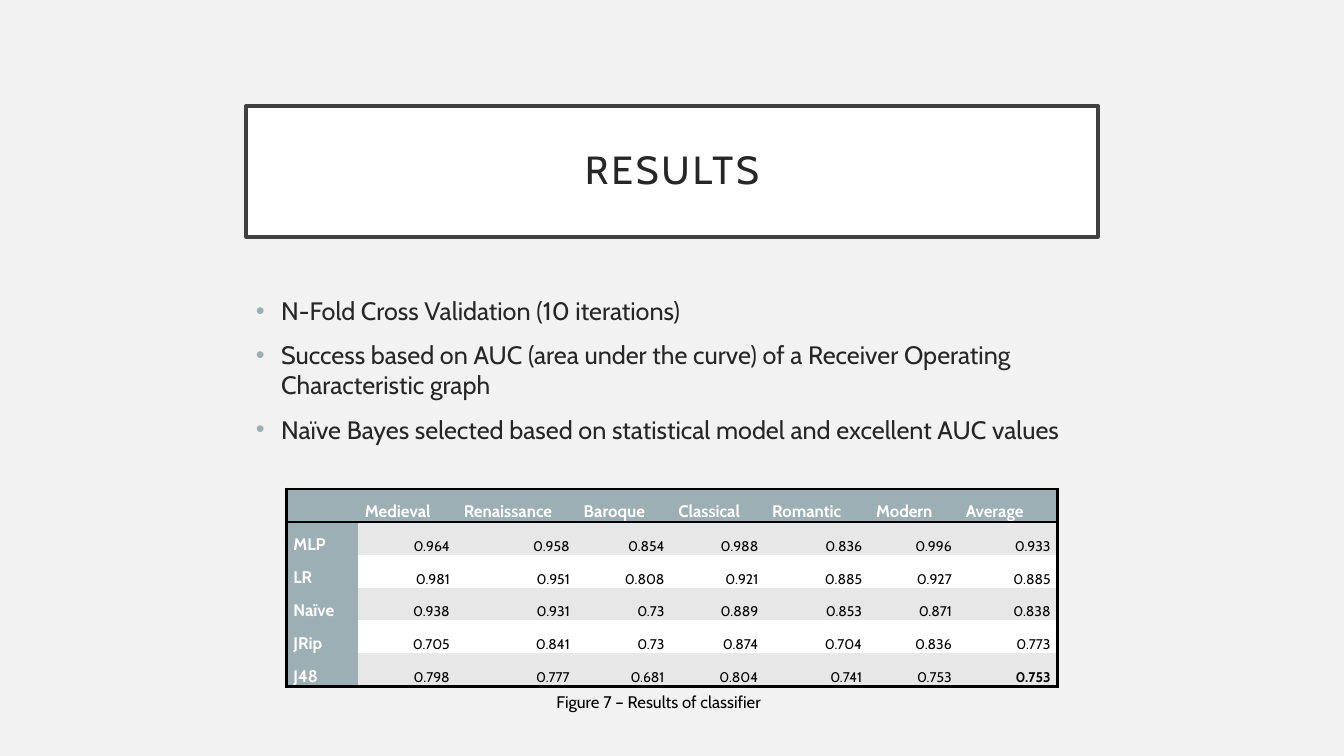
import pptx
import pptx.util
import pptx.dml.color
import pptx.enum.shapes
import pptx.enum.text
from dataclasses import dataclass
from lxml import etree

Inches, Pt = pptx.util.Inches, pptx.util.Pt
RGB = pptx.dml.color.RGBColor.from_string
ALIGN = pptx.enum.text.PP_ALIGN
ANCHOR = pptx.enum.text.MSO_ANCHOR


@dataclass
class Theme:
    font: str = "Cabin"
    background: str = "F2F2F2"
    white: str = "FFFFFF"
    black: str = "000000"
    frame: str = "404040"
    ink: str = "262626"
    accent: str = "9BAFB5"
    band: str = "E7E7E7"
    title_size: float = 28
    body_size: float = 18
    label_size: float = 12
    value_size: float = 10


theme = Theme()


def add_text(p, text, size, color, bold=False, align=ALIGN.LEFT, line=1.0, before=0, tracking=0):
    p.alignment = align
    p.line_spacing = line
    p.space_before = Pt(before)
    r = p.add_run()
    r.text = text
    r.font.name = theme.font
    r.font.size = Pt(size)
    r.font.bold = bold
    r.font.color.rgb = RGB(color)
    if tracking:
        r.font._element.set("spc", str(tracking * 100))


def add_xml(parent, tag, **attributes):
    element = etree.SubElement(parent, pptx.oxml.ns.qn(tag))
    for key, value in attributes.items():
        element.set(key, str(value))
    return element


prs = pptx.Presentation()
prs.slide_width, prs.slide_height = Inches(13.33), Inches(7.5)
s = prs.slides.add_slide(prs.slide_layouts[6])
s.background.fill.solid()
s.background.fill.fore_color.rgb = RGB(theme.background)

sp = s.shapes.add_shape(pptx.enum.shapes.MSO_SHAPE.RECTANGLE,
                        Inches(2.44), Inches(1.05), Inches(8.45), Inches(1.3))
sp.shadow.inherit = False
sp.fill.solid()
sp.fill.fore_color.rgb = RGB(theme.white)
sp.line.color.rgb = RGB(theme.frame)
sp.line.width = Pt(2.5)
tf = sp.text_frame
tf.vertical_anchor = ANCHOR.MIDDLE
tf.margin_left = tf.margin_right = tf.margin_top = tf.margin_bottom = Inches(0.2)
add_text(tf.paragraphs[0], "RESULTS", theme.title_size, theme.ink,
         align=ALIGN.CENTER, line=0.9, tracking=2)

points = [
    "N-Fold Cross Validation (10 iterations)",
    "Success based on AUC (area under the curve) of a Receiver Operating Characteristic graph",
    "Naïve Bayes selected based on statistical model and excellent AUC values",
]
tf = s.shapes.add_textbox(Inches(2.44), Inches(2.88), Inches(8.45), Inches(3.39)).text_frame
tf.word_wrap = True
for i, point in enumerate(points):
    p = tf.add_paragraph() if i else tf.paragraphs[0]
    add_text(p, point, theme.body_size, theme.ink, before=10)
    pPr = p._p.get_or_add_pPr()
    pPr.set("marL", str(Inches(0.25)))
    pPr.set("indent", str(-Inches(0.25)))
    add_xml(add_xml(pPr, "a:buClr"), "a:srgbClr", val=theme.accent)
    add_xml(pPr, "a:buFont", typeface="Arial")
    add_xml(pPr, "a:buChar", char="•")

results = [
    ["", "Medieval", "Renaissance", "Baroque", "Classical", "Romantic", "Modern", "Average"],
    ["MLP", "0.964", "0.958", "0.854", "0.988", "0.836", "0.996", "0.933"],
    ["LR", "0.981", "0.951", "0.808", "0.921", "0.885", "0.927", "0.885"],
    ["Naïve", "0.938", "0.931", "0.73", "0.889", "0.853", "0.871", "0.838"],
    ["JRip", "0.705", "0.841", "0.73", "0.874", "0.704", "0.836", "0.773"],
    ["J48", "0.798", "0.777", "0.681", "0.804", "0.741", "0.753", "0.753"],
]
widths = [0.71, 0.98, 1.19, 0.94, 0.93, 1.03, 0.89, 0.98]
last_row, last_col = len(results) - 1, len(widths) - 1
table = s.shapes.add_table(len(results), len(widths), Inches(2.84), Inches(4.85),
                           Inches(7.65), Inches(1.96)).table
no_grid_style = "{2D5ABB26-0587-4C30-8999-92F81FD0307C}"
table._tbl.tblPr.find(pptx.oxml.ns.qn("a:tableStyleId")).text = no_grid_style
table.horz_banding = False
for column, width in zip(table.columns, widths):
    column.width = Inches(width)

for i, row in enumerate(results):
    for j, text in enumerate(row):
        cell = table.cell(i, j)
        cell.vertical_anchor = ANCHOR.BOTTOM
        cell.margin_left = cell.margin_right = Inches(0.07)
        cell.margin_top = cell.margin_bottom = 0
        borders = [("a:lnL", j == 0, 2.25), ("a:lnR", j == last_col, 2.25),
                   ("a:lnT", i == 0, 2.25), ("a:lnB", i in (0, last_row), 2.25 if i else 2)]
        for tag, drawn, width in borders:
            if drawn:
                ln = add_xml(cell._tc.get_or_add_tcPr(), tag, w=Pt(width))
                add_xml(add_xml(ln, "a:solidFill"), "a:srgbClr", val=theme.black)
        is_label = i == 0 or j == 0
        cell.fill.solid()
        cell.fill.fore_color.rgb = RGB(
            theme.accent if is_label else theme.band if i % 2 else theme.white)
        p = cell.text_frame.paragraphs[0]
        if is_label and text:
            add_text(p, text, theme.label_size, theme.white, bold=True, line=1.5)
        elif text:
            add_text(p, text, theme.value_size, theme.black, align=ALIGN.RIGHT, line=1.5,
                     bold=(i, j) == (last_row, last_col))

tf = s.shapes.add_textbox(Inches(5.42), Inches(6.81), Inches(2.49), Inches(0.3)).text_frame
tf.word_wrap = True
add_text(tf.paragraphs[0], "Figure 7 – Results of classifier", theme.label_size, theme.black)

prs.save("out.pptx")
